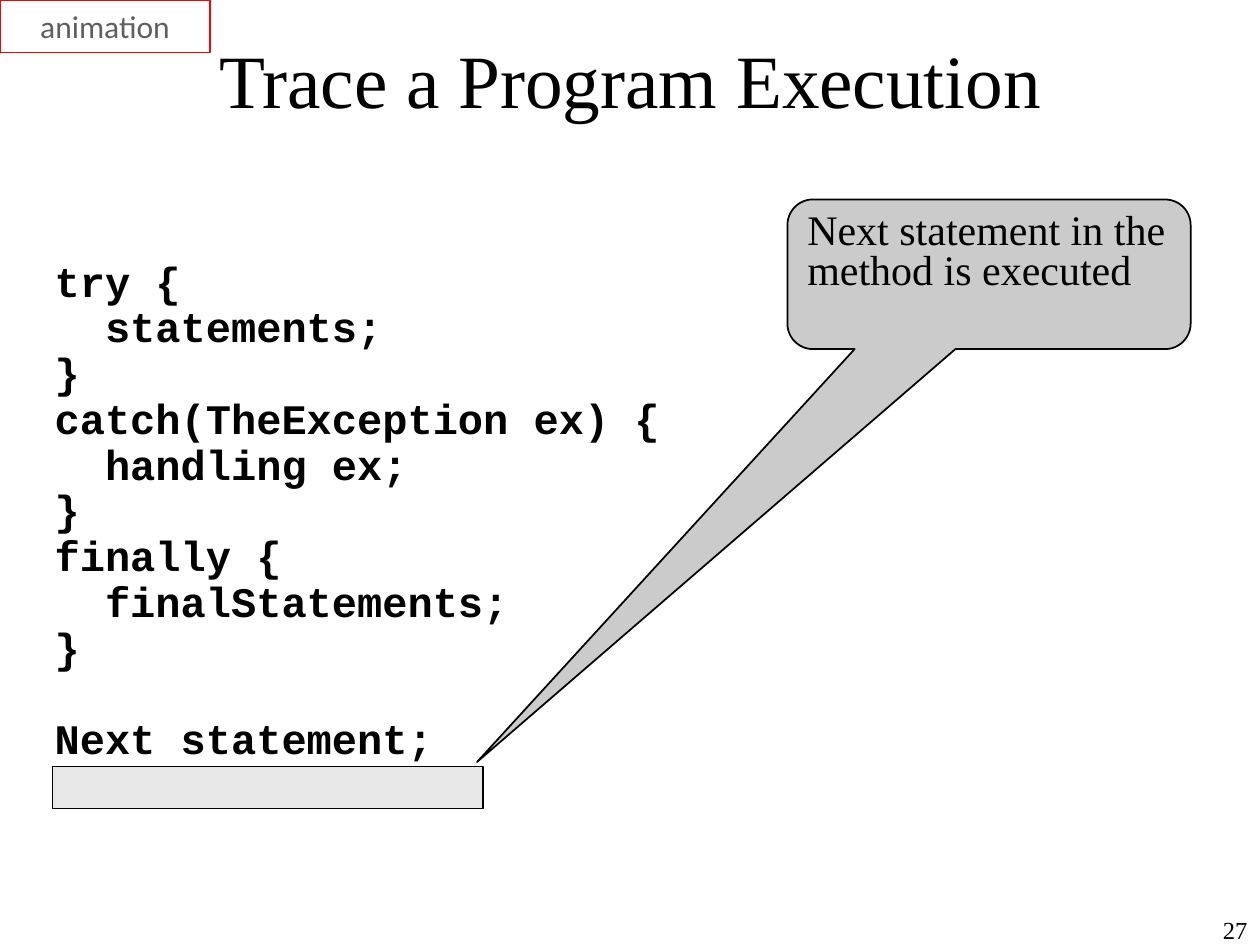
from pptx import Presentation
from pptx.dml.color import RGBColor
from pptx.enum.shapes import MSO_SHAPE as Shape
from pptx.enum.text import MSO_ANCHOR as Anchor, MSO_AUTO_SIZE as AutoSize, PP_ALIGN as Align
from pptx.oxml.ns import qn
from pptx.util import Inches, Pt
from lxml.etree import SubElement

TITLE = "Trace a Program Execution"
TAG = "animation"
NUMBER = "27"
CALLOUT = "Next statement in the method is executed"
CODE_BLOCK = [
    "try {",
    "  statements;",
    "}",
    "catch(TheException ex) {",
    "  handling ex;",
    "}",
    "finally {",
    "  finalStatements;",
    "}",
]
NEXT_STATEMENT = "Next statement;"

THEME = {
    "black": RGBColor.from_string("000000"),
    "gray": RGBColor.from_string("CBCBCB"),
    "tag_text": RGBColor.from_string("5F5F5F"),
    "red": RGBColor.from_string("FF0000"),
    "serif": "Times New Roman",
    "sans": "Calibri",
    "mono": "Courier New",
    "title": Pt(43),
    "text": Pt(24),
    "tag": Pt(18),
    "number": Pt(14),
    "gap": Pt(6),
    "section_gap": Pt(32),
    "line": Pt(1),
}
COLUMNS, ROWS = 120, 90
GRID = {
    "number": (95, 87, 25, 3),
    "title": (9, 4, 102, 7),
    "tag": (0, 0, 20, 5),
    "code": (4, 25, 61, 53),
    "callout": (75, 19, 38.4, 14.25),
    "highlight": (5, 73, 41, 4),
}
CALLOUT_ADJUSTMENTS = (-1.27, 3.26, 0.17)

presentation = Presentation()
presentation.slide_width, presentation.slide_height = Inches(10), Inches(7.5)
slide = presentation.slides.add_slide(presentation.slide_layouts[1])


def apply(target, **values):
    for name, value in values.items():
        setattr(target, name, value)


def frame(part):
    column, row, width, height = GRID[part]
    cell_width = presentation.slide_width / COLUMNS
    cell_height = presentation.slide_height / ROWS
    return [round(length) for length in
            (column * cell_width, row * cell_height, width * cell_width, height * cell_height)]


def place(shape, part):
    apply(shape, **dict(zip(("left", "top", "width", "height"), frame(part))))


def add_box(part, kind, line, fill=None):
    shape = slide.shapes.add_shape(kind, *frame(part))
    shape.shadow.inherit = False
    if fill is None:
        shape.fill.background()
    else:
        shape.fill.solid()
        shape.fill.fore_color.rgb = fill
    shape.line.color.rgb = line
    shape.line.width = THEME["line"]
    return shape


def write(shape, lines, font, size, color="black", bold=False, anchor=Anchor.MIDDLE,
          **paragraph_format):
    text_frame = shape.text_frame
    apply(text_frame, text="\n".join(lines), word_wrap=True, auto_size=AutoSize.NONE,
          vertical_anchor=anchor)
    for paragraph in text_frame.paragraphs:
        apply(paragraph, **paragraph_format)
        for run in paragraph.runs:
            apply(run.font, name=THEME[font], size=THEME[size], bold=bold)
            run.font.color.rgb = THEME[color]
    return text_frame.paragraphs


number = slide.shapes.add_textbox(*frame("number"))
write(number, [NUMBER], "serif", "number", alignment=Align.RIGHT)

title, code = slide.placeholders
place(title, "title")
write(title, [TITLE], "serif", "title", alignment=Align.CENTER)

tag = add_box("tag", Shape.RECTANGLE, THEME["red"])
write(tag, [TAG], "sans", "tag", "tag_text", alignment=Align.CENTER)

place(code, "code")
code_lines = write(code, CODE_BLOCK + [NEXT_STATEMENT], "mono", "text", bold=True,
                   anchor=Anchor.TOP, line_spacing=0.7, space_before=THEME["gap"])
for paragraph in code_lines:
    properties = paragraph._p.get_or_add_pPr()
    properties.set("marL", str(Inches(0.38)))
    properties.set("indent", str(-Inches(0.38)))
    SubElement(properties, qn("a:buNone"))
code_lines[0].space_before = Pt(0)
code_lines[-1].space_before = THEME["section_gap"]

callout = add_box("callout", Shape.ROUNDED_RECTANGULAR_CALLOUT, THEME["black"], THEME["gray"])
for index, adjustment in enumerate(CALLOUT_ADJUSTMENTS):
    callout.adjustments[index] = adjustment
write(callout, [CALLOUT], "serif", "text", anchor=Anchor.TOP,
      alignment=Align.LEFT, line_spacing=0.8)

highlight = add_box("highlight", Shape.RECTANGLE, THEME["black"], THEME["gray"])
fill_color = highlight._element.spPr.find(qn("a:solidFill"))[0]
SubElement(fill_color, qn("a:alpha")).set("val", "45000")

presentation.save("out.pptx")
